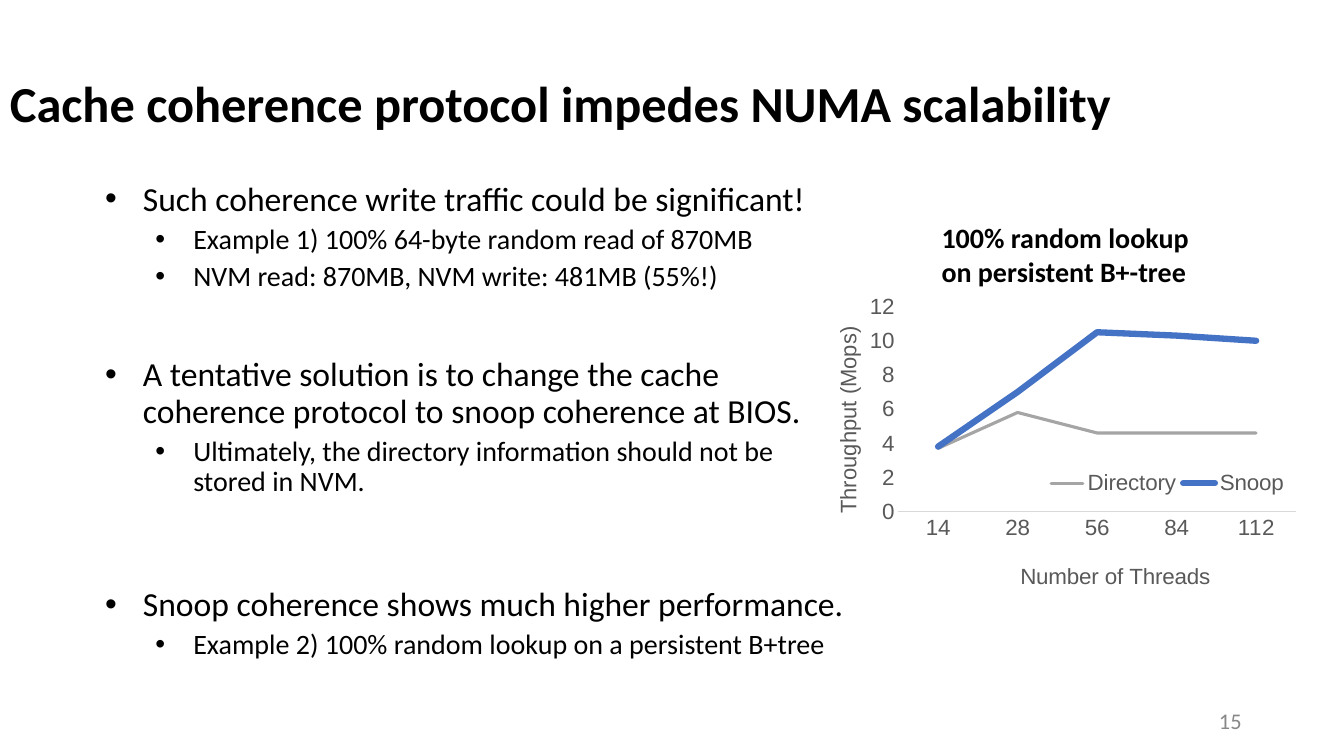
from pptx import Presentation
from pptx.chart.data import CategoryChartData
from pptx.dml.color import RGBColor
from pptx.enum.chart import XL_CHART_TYPE as ChartType
from pptx.enum.chart import XL_LEGEND_POSITION as LegendPosition
from pptx.enum.chart import XL_MARKER_STYLE as Marker
from pptx.enum.chart import XL_TICK_MARK as TickMark
from pptx.enum.text import MSO_ANCHOR as Anchor
from pptx.enum.text import PP_ALIGN as Align
from pptx.oxml.ns import qn
from pptx.util import Pt
from lxml.etree import SubElement


def color(hex_text):
    return RGBColor.from_string(hex_text)


def set_layout(element, index, inner=False, **fractions):
    """Place a chart part by fractions of the chart's size."""
    for old in element.findall(qn("c:layout")):
        element.remove(old)
    layout = SubElement(element, qn("c:layout"))
    element.insert(index, layout)
    manual = SubElement(layout, qn("c:manualLayout"))
    if inner:
        SubElement(manual, qn("c:layoutTarget")).set("val", "inner")
    for side in ("x", "y"):
        SubElement(manual, qn(f"c:{side}Mode")).set("val", "edge")
    for side, value in fractions.items():
        SubElement(manual, qn(f"c:{side}")).set("val", str(value))


class SlideBuilder:
    text_font = "Calibri"
    chart_font = "Arial"
    black = "000000"
    chart_gray = "595959"
    bullet_sizes = (24, 20)
    bullet_indents = (39, 75)
    bullet_gaps = (10, 5)
    hanging = 27

    def __init__(self, page):
        self.page = page

    def style(self, font, size, hex_text, name, bold=False):
        font.name, font.size, font.bold = name, Pt(size), bold
        font.color.rgb = color(hex_text)

    def text(self, box_area, text, size, hex_text=black, bold=False,
             align=Align.LEFT, anchor=Anchor.TOP, line_spacing=1.0):
        box = self.page.shapes.add_textbox(*map(Pt, box_area))
        frame = box.text_frame
        frame.word_wrap = True
        frame.vertical_anchor = anchor
        frame.text = text
        for para in frame.paragraphs:
            para.alignment = align
            para.line_spacing = line_spacing
            for span in para.runs:
                self.style(span.font, size, hex_text, self.text_font, bold)
        return frame

    def bullets(self, box_area, items):
        frame = self.text(box_area, "\n".join(item[1] for item in items),
                          self.bullet_sizes[0], line_spacing=0.9)
        for para, (level, _, extra_gap) in zip(frame.paragraphs, items):
            para.level = level
            para.space_before = Pt(self.bullet_gaps[level] + extra_gap)
            para.runs[0].font.size = Pt(self.bullet_sizes[level])
            properties = para._p.get_or_add_pPr()
            properties.set("marL", str(Pt(self.bullet_indents[level])))
            properties.set("indent", str(-Pt(self.hanging)))
            SubElement(properties, qn("a:buFont")).set("typeface", "Arial")
            SubElement(properties, qn("a:buChar")).set("char", "•")

    def axis(self, axis, title, x, y):
        axis.has_major_gridlines = False
        axis.major_tick_mark = axis.minor_tick_mark = TickMark.NONE
        self.style(axis.tick_labels.font, 16, self.chart_gray, self.chart_font)
        frame = axis.axis_title.text_frame
        frame.text = title
        self.style(frame.paragraphs[0].runs[0].font, 16, self.chart_gray,
                   self.chart_font)
        set_layout(axis.axis_title._element, 1, x=x, y=y)

    def line_chart(self, chart_area, categories, lines):
        data = CategoryChartData()
        data.categories = categories
        for name, values, _, _ in lines:
            data.add_series(name, values)
        chart = self.page.shapes.add_chart(
            ChartType.LINE, *map(Pt, chart_area), data).chart
        chart.has_title = False
        self.style(chart.font, 16, self.black, self.chart_font)
        plot_area = chart._chartSpace.find(f".//{qn('c:plotArea')}")
        set_layout(plot_area, 0, inner=True, x=0.156, y=0.045, w=0.789, h=0.691)

        # Axes
        self.axis(chart.category_axis, "Number of Threads", x=0.39, y=0.895)
        chart.category_axis.format.line.color.rgb = color("D9D9D9")
        chart.category_axis.format.line.width = Pt(0.75)
        self.axis(chart.value_axis, "Throughput (Mops)", x=0.02, y=0.11)
        chart.value_axis.format.line.fill.background()
        chart.value_axis.minimum_scale = 0
        chart.value_axis.maximum_scale = 12
        chart.value_axis.major_unit = 2

        # Legend
        chart.has_legend = True
        legend = chart.legend
        legend.position = LegendPosition.BOTTOM
        legend.include_in_layout = False
        self.style(legend.font, 16, self.chart_gray, self.chart_font)
        set_layout(legend._element, 1, x=0.445, y=0.59, w=0.49, h=0.1)

        # Series
        for series, (_, _, hex_text, width) in zip(chart.plots[0].series, lines):
            series.smooth = False
            series.marker.style = Marker.NONE
            series.format.line.color.rgb = color(hex_text)
            series.format.line.width = Pt(width)
            series.format.line._get_or_add_ln().set("cap", "rnd")


def main():
    deck = Presentation()
    deck.slide_width, deck.slide_height = Pt(960), Pt(540)
    builder = SlideBuilder(deck.slides.add_slide(deck.slide_layouts[6]))

    # Page number and title
    builder.text((678, 500.5, 216, 29), "15", 16, "888888",
                 align=Align.RIGHT, anchor=Anchor.MIDDLE)
    builder.text((0, 48, 818, 56), "Cache coherence protocol impedes NUMA scalability",
                 36, bold=True, anchor=Anchor.MIDDLE, line_spacing=0.9)

    # Arguments: level, text, extra gap above
    builder.bullets((56, 126.5, 554.5, 400), [
        (0, "Such coherence write traffic could be significant!", 0),
        (1, "Example 1) 100% 64-byte random read of 870MB", 0),
        (1, "NVM read: 870MB, NVM write: 481MB (55%!)", 0),
        (0, "A tentative solution is to change the cache coherence protocol "
            "to snoop coherence at BIOS.", 36.4),
        (1, "Ultimately, the directory information should not be stored in NVM.", 0),
        (0, "Snoop coherence shows much higher performance.", 54),
        (1, "Example 2) 100% random lookup on a persistent B+tree", 0),
    ])

    # Throughput chart and its heading
    builder.line_chart((585.5, 209.5, 360, 216), ["14", "28", "56", "84", "112"], [
        ("Directory", (3.7, 5.8, 4.6, 4.6, 4.6), "A5A5A5", 2.25),
        ("Snoop", (3.8, 7, 10.5, 10.3, 10), "4472C4", 4.5),
    ])
    builder.text((665.5, 154, 249, 55.5),
                 "100% random lookup\non persistent B+-tree", 20, bold=True)

    deck.save("out.pptx")


if __name__ == "__main__":
    main()
